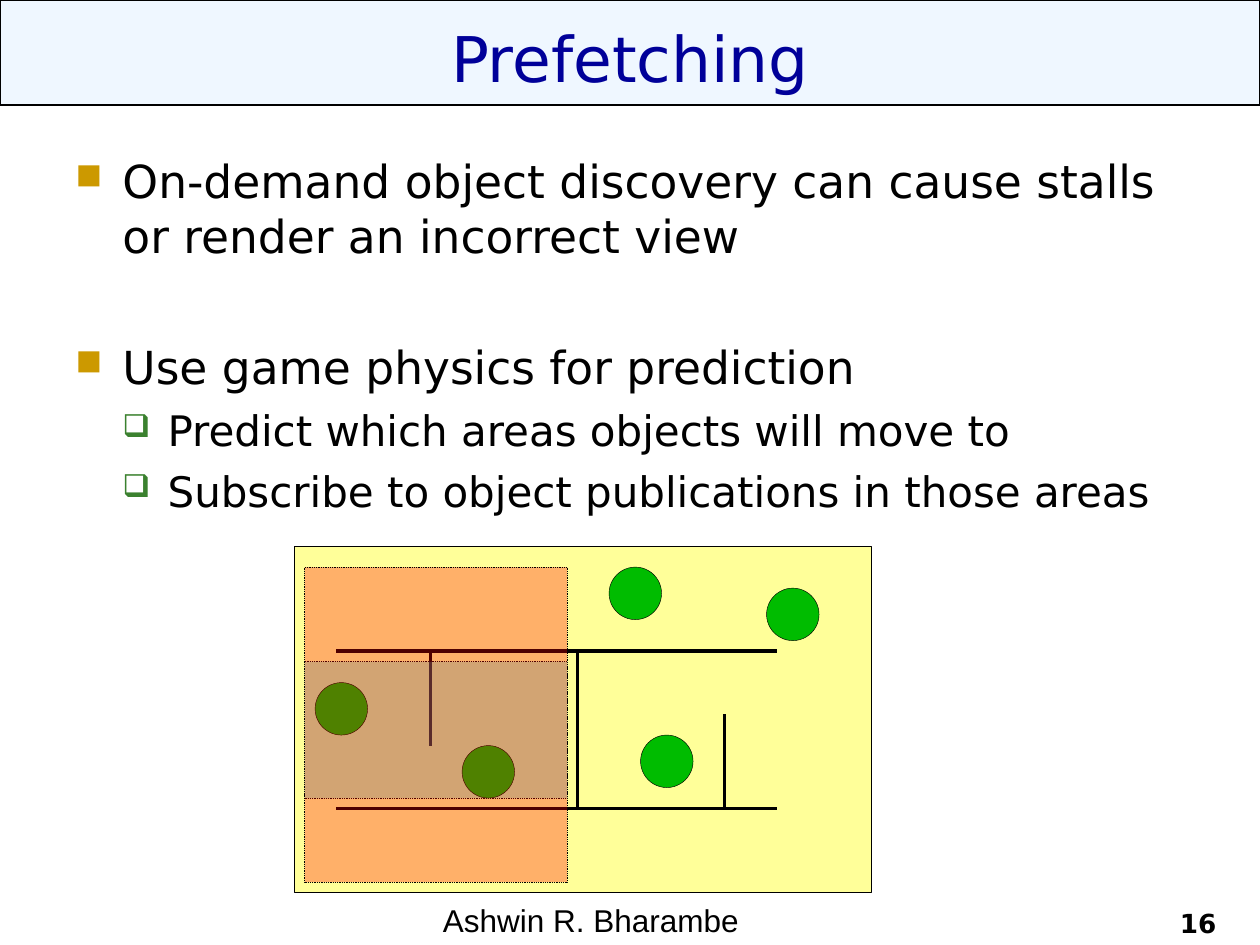
from dataclasses import dataclass
from lxml.etree import SubElement as Sub
from pptx import Presentation
from pptx.dml.color import RGBColor as Rgb
from pptx.enum.dml import MSO_LINE as Dash
from pptx.enum.shapes import MSO_CONNECTOR as Link, MSO_SHAPE as Kind
from pptx.enum.text import MSO_ANCHOR as Anchor, PP_ALIGN as Align
from pptx.oxml.ns import qn
from pptx.util import Cm, Pt


@dataclass(frozen=True)
class Theme:
    sans: str = "DejaVu Sans"
    plain: str = "Arial"
    ink: str = "000000"
    navy: str = "000099"
    sky: str = "99CCFF"
    gold: str = "CC9900"
    leaf: str = "3B812F"
    sand: str = "FFFF99"
    teal: str = "33CCCC"
    red: str = "FF0000"
    green: str = "00BC00"
    title: float = 36
    lead: float = 26
    point: float = 24
    name: float = 18
    page: float = 15


THEME = Theme()


def apply(item, style):
    for key, value in style.items():
        setattr(item, key, value)


def add_run(para, text, size, color=THEME.ink, face=THEME.sans, bold=False):
    run = para.add_run()
    run.text = text
    apply(run.font, {"size": Pt(size), "name": face, "bold": bold})
    run.font.color.rgb = Rgb.from_string(color)


def add_text(slide, box, anchor, wrap=True):
    frame = slide.shapes.add_textbox(*box).text_frame
    apply(frame, {
        "word_wrap": wrap, "vertical_anchor": anchor,
        "margin_left": Cm(0.25), "margin_right": Cm(0.25),
        "margin_top": Cm(0.13), "margin_bottom": Cm(0.13),
    })
    return frame


def add_form(slide, kind, box, fill, width, alpha=100, dash=None):
    form = slide.shapes.add_shape(kind, *box)
    form.shadow.inherit = False
    form.fill.solid()
    form.fill.fore_color.rgb = Rgb.from_string(fill)
    if alpha < 100:
        tint = form._element.spPr.find(qn("a:solidFill"))[0]
        Sub(tint, qn("a:alpha"), val=str(alpha * 1000))
    form.line.color.rgb = Rgb.from_string(THEME.ink)
    apply(form.line, {"width": Pt(width), "dash_style": dash})


def add_wall(slide, start, end):
    wall = slide.shapes.add_connector(Link.STRAIGHT, *start, *end)
    wall.line.color.rgb = Rgb.from_string(THEME.ink)
    wall.line.width = Pt(2)
    Sub(wall._element.spPr, qn("a:effectLst"))


def add_bullet(para, mark, color, size, left, hang):
    props = para._p.get_or_add_pPr()
    apply_indent = {"marL": Cm(left), "indent": -Cm(hang)}
    for key, value in apply_indent.items():
        props.set(key, str(int(value)))
    Sub(Sub(props, qn("a:buClr")), qn("a:srgbClr"), val=color)
    Sub(props, qn("a:buSzPct"), val=str(size * 1000))
    Sub(props, qn("a:buChar"), char=mark)


def draw_header(slide, box, text):
    left, top, width, height = box
    add_form(slide, Kind.RECTANGLE, box, THEME.sky, 0.75, alpha=15)
    inset = Cm(1.27)
    area = (left + inset, top + Cm(0.21), width - 2 * inset, height - Cm(0.21))
    para = add_text(slide, area, Anchor.MIDDLE).paragraphs[0]
    para.alignment = Align.CENTER
    add_run(para, text, THEME.title, THEME.navy)


def draw_body(slide, box, points):
    frame = add_text(slide, box, Anchor.TOP)
    looks = (
        (("■", THEME.gold, 80, 0.95, 0.95), THEME.lead),
        (("❑", THEME.leaf, 75, 1.86, 0.91), THEME.point),
    )
    for order, (level, gap, text) in enumerate(points):
        para = frame.add_paragraph() if order else frame.paragraphs[0]
        bullet, size = looks[level]
        add_bullet(para, *bullet)
        apply(para, {"level": level, "space_before": Pt(gap)})
        add_run(para, text, size)


def draw_map(slide, box):
    left, top, width, height = box
    cell = width / 55

    def spot(col, row):
        return int(left + col * cell), int(top + row * cell)

    def zone(col, row, wide, high):
        return *spot(col, row), int(wide * cell), int(high * cell)

    add_form(slide, Kind.RECTANGLE, box, THEME.sand, 0.25)
    walls = (
        ((4, 10), (46, 10)), ((13, 10), (13, 19)), ((4, 25), (46, 25)),
        ((27, 10), (27, 25)), ((41, 16), (41, 25)),
    )
    for start, end in walls:
        add_wall(slide, spot(*start), spot(*end))
    veil = {"width": 0.5, "alpha": 31, "dash": Dash.ROUND_DOT}
    add_form(slide, Kind.RECTANGLE, zone(1, 11, 25, 13), THEME.teal, **veil)
    for col, row in ((16, 19), (33, 18), (30, 2), (45, 4), (2, 13)):
        add_form(slide, Kind.OVAL, zone(col, row, 5, 5), THEME.green, 0.25)
    add_form(slide, Kind.RECTANGLE, zone(1, 2, 25, 30), THEME.red, **veil)


def draw_footer(slide, box, name, page):
    left, top, width, height = box
    label = (left, top + Cm(0.21), Cm(8.04), height - Cm(0.21))
    para = add_text(slide, label, Anchor.BOTTOM).paragraphs[0]
    add_run(para, name, THEME.name, face=THEME.plain)
    wide = Cm(5.93)
    label = (left + width - wide, top, wide, height)
    para = add_text(slide, label, Anchor.BOTTOM).paragraphs[0]
    para.alignment = Align.RIGHT
    add_run(para, page, THEME.page, bold=True)


def main():
    deck = Presentation()
    apply(deck, {"slide_width": Cm(25.4), "slide_height": Cm(19.05)})
    slide = deck.slides.add_slide(deck.slide_layouts[6])
    draw_header(slide, (0, 0, Cm(25.4), Cm(2.12)), "Prefetching")
    draw_body(slide, (Cm(1.27), Cm(2.96), Cm(22.86), Cm(14.08)), (
        (0, 0, "On-demand object discovery can cause stalls or render an incorrect view"),
        (0, 44, "Use game physics for prediction"),
        (1, 6, "Predict which areas objects will move to"),
        (1, 6, "Subscribe to object publications in those areas"),
    ))
    draw_map(slide, (Cm(5.93), Cm(11.01), Cm(11.64), Cm(6.98)))
    draw_footer(slide, (Cm(8.68), Cm(18.42), Cm(16.09), Cm(0.63)), "Ashwin R. Bharambe", "16")
    deck.save("out.pptx")


if __name__ == "__main__":
    main()
